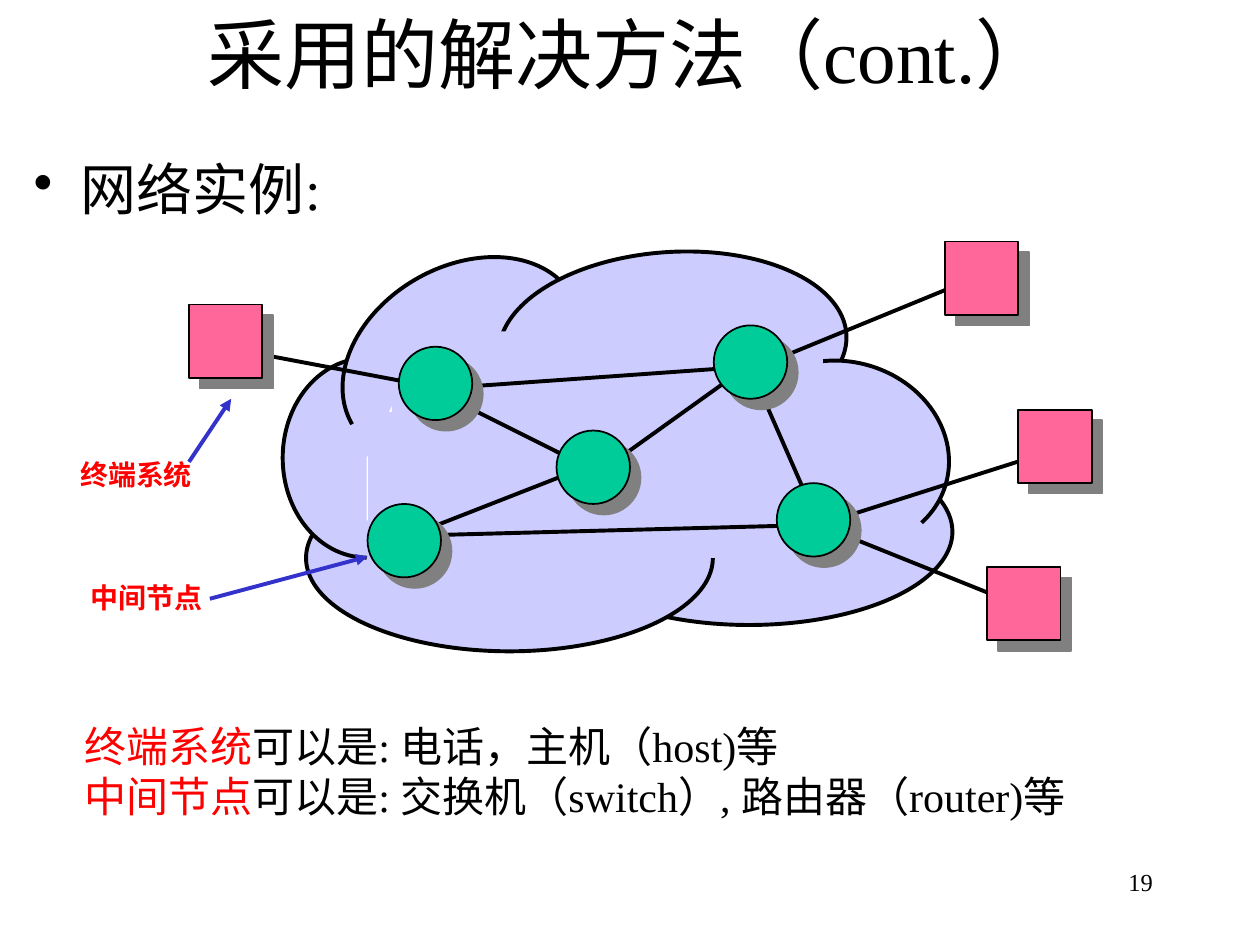
from copy import deepcopy
from dataclasses import dataclass
from math import ceil, cos, radians, sin, tan

from lxml.etree import SubElement
from pptx import Presentation
from pptx.dml.color import RGBColor
from pptx.enum.shapes import MSO_CONNECTOR, MSO_SHAPE
from pptx.enum.text import MSO_ANCHOR as Anchor, PP_ALIGN as Align
from pptx.oxml.ns import qn
from pptx.util import Cm, Pt

BLACK, RED, BLUE = "000000", "FF0000", "3333CC"
CLOUD, RELAY, HOST, SHADE = "CCCCFF", "00CC99", "FF6699", "808080"
NODE_SIZE = 1.48
SERIF, SANS = "Times New Roman", "Arial"


@dataclass(frozen=True)
class Lobe:
    """An elliptical sector of the cloud; angles run clockwise in degrees."""
    x: float
    y: float
    rx: float
    ry: float
    tilt: float
    start: int
    end: int

    def place(self, u: float, v: float) -> tuple[int, int]:
        """Map a point of the unit circle onto the slide."""
        turn = radians(self.tilt)
        u, v = u * self.rx, v * self.ry
        return (Cm(self.x + u * cos(turn) - v * sin(turn)),
                Cm(self.y + u * sin(turn) + v * cos(turn)))

    def curve(self) -> list[tuple[int, int]]:
        """Start point, then two handles and an end point per Bezier segment."""
        count = ceil((self.end - self.start) / 90)
        step = radians(self.end - self.start) / count
        reach = 4 / 3 * tan(step / 4)
        points = [self.place(cos(radians(self.start)), sin(radians(self.start)))]
        for index in range(count):
            a = radians(self.start) + index * step
            b = a + step
            points += [self.place(cos(a) - reach * sin(a), sin(a) + reach * cos(a)),
                       self.place(cos(b) + reach * sin(b), sin(b) - reach * cos(b)),
                       self.place(cos(b), sin(b))]
        return points


@dataclass(frozen=True)
class Link:
    x1: float
    y1: float
    x2: float
    y2: float


@dataclass(frozen=True)
class Caption:
    """Lines of (wording, colour) runs in one box."""
    box: tuple[float, float, float, float]
    lines: list[list[tuple[str, str]]]
    size: int
    align: Align = Align.LEFT
    font: str = SERIF
    bold: bool = False
    anchor: Anchor = Anchor.TOP


LOBES = [
    Lobe(15.1, 10.72, 4.1, 1.88, 0, -60, 114),
    Lobe(10.27, 11.25, 4.1, 1.88, 0, 0, 210),
    Lobe(7.39, 9.23, 1.69, 2.01, 0, 90, 300),
    Lobe(9.32, 7.26, 2.57, 1.88, -30.2, -180, 20),
    Lobe(13.56, 6.96, 3.51, 1.88, -3.6, -180, 20),
    Lobe(16.98, 9.17, 2.17, 1.88, 14.9, -125, 29),
]
LINKS = [
    Link(8.26, 10.8, 16.51, 10.58),
    Link(15.03, 7.2, 16.51, 10.58),
    Link(12.07, 9.53, 8.68, 7.83),
    Link(12.07, 9.53, 15.03, 7.41),
    Link(8.26, 10.8, 12.07, 9.31),
    Link(14.82, 7.41, 8.89, 7.83),
    Link(8.89, 7.83, 4.45, 6.99),
    Link(19.9, 5.5, 15.24, 7.41),
    Link(21.17, 9.1, 16.51, 10.58),
    Link(20.74, 12.28, 16.51, 10.58),
]
POINTERS = [Link(3.81, 9.31, 4.66, 8.04), Link(4.23, 12.07, 7.41, 11.22)]
RELAYS = [(11.22, 8.68), (7.41, 10.16), (14.39, 6.56), (15.66, 9.74), (8.04, 6.99)]
HOSTS = [(3.81, 6.14), (19.05, 4.87), (20.53, 8.26), (19.9, 11.43)]

EXAMPLE = Caption((0.43, 3.15, 24.77, 1.55), [[("网络实例:", BLACK)]], 32)
CAPTIONS = [
    Caption((1.9, 0, 21.6, 2.12), [[("采用的解决方法（cont.）", BLACK)]], 44,
            Align.CENTER, anchor=Anchor.MIDDLE),
    Caption((1.45, 14.4, 22.2, 2.97), [
        [("终端系统", RED), ("可以是: 电话，主机（host)等", BLACK)],
        [("中间节点", RED), ("可以是: 交换机（switch）, 路由器（router)等", BLACK)],
    ], 24),
    Caption((0.84, 9.1, 3.81, 0.94), [[("终端系统", RED)]], 16, Align.CENTER, SANS, True),
    Caption((1.47, 11.58, 2.97, 0.94), [[("中间节点", RED)]], 16, Align.CENTER, SANS, True),
    Caption((18.21, 17.35, 5.28, 1.27), [[("19", BLACK)]], 14, Align.RIGHT),
]


def rgb(code: str) -> RGBColor:
    return RGBColor.from_string(code)


def paint(shape, fill: str, line: str | None, width: float = 2.25) -> None:
    shape.shadow.inherit = False
    shape.fill.solid()
    shape.fill.fore_color.rgb = rgb(fill)
    if line:
        shape.line.color.rgb = rgb(line)
        shape.line.width = Pt(width)
    else:
        shape.line.fill.background()


def draw_lobe(shapes, lobe: Lobe) -> None:
    """Fill the sector without a line, then stroke only its arc."""
    start, *curve = lobe.curve()
    builder = shapes.build_freeform(*start, scale=1.0)
    builder.add_line_segments(curve + [(Cm(lobe.x), Cm(lobe.y))], close=True)
    shape = builder.convert_to_shape()
    paint(shape, CLOUD, BLACK)

    sector = next(shape._element.spPr.iter(qn("a:path")))
    *steps, to_center = sector.findall(qn("a:lnTo"))
    for first, second, third in zip(steps[::3], steps[1::3], steps[2::3]):
        first.addprevious(bezier := deepcopy(first))
        bezier.tag = qn("a:cubicBezTo")
        for step in (second, third):
            bezier.append(step[0])
        for step in (first, second, third):
            sector.remove(step)
    arc = deepcopy(sector)
    for part in (qn("a:lnTo"), qn("a:close")):
        arc.remove(arc.find(part))
    sector.set("stroke", "0")
    arc.set("fill", "none")
    sector.addnext(arc)


def draw_cloud_core(shapes, *box: float) -> None:
    core = shapes.add_shape(MSO_SHAPE.RECTANGLE, *map(Cm, box))
    paint(core, CLOUD, None)


def draw_link(shapes, link: Link, color: str = BLACK, arrow: bool = False) -> None:
    line = shapes.add_connector(MSO_CONNECTOR.STRAIGHT, Cm(link.x1), Cm(link.y1),
                                Cm(link.x2), Cm(link.y2))
    line.line.color.rgb = rgb(color)
    line.line.width = Pt(2.25)
    if arrow:
        SubElement(line.line._get_or_add_ln(), qn("a:tailEnd"), type="triangle")
    SubElement(line._element.spPr, qn("a:effectLst"))


def draw_node(shapes, kind: MSO_SHAPE, left: float, top: float, fill: str) -> None:
    node = shapes.add_shape(kind, Cm(left), Cm(top), Cm(NODE_SIZE), Cm(NODE_SIZE))
    paint(node, fill, BLACK, 1)
    effects = node._element.spPr.find(qn("a:effectLst"))
    shadow = SubElement(effects, qn("a:outerShdw"), dist=str(Pt(8.5)),
                        dir=str(45 * 60000), algn="ctr", rotWithShape="0")
    SubElement(shadow, qn("a:srgbClr"), val=SHADE)


def draw_caption(shapes, caption: Caption):
    frame = shapes.add_textbox(*map(Cm, caption.box)).text_frame
    frame.word_wrap = True
    frame.vertical_anchor = caption.anchor
    for index, pieces in enumerate(caption.lines):
        paragraph = frame.add_paragraph() if index else frame.paragraphs[0]
        paragraph.alignment = caption.align
        for wording, color in pieces:
            run = paragraph.add_run()
            run.text = wording
            run.font.name, run.font.size = caption.font, Pt(caption.size)
            run.font.bold = caption.bold
            run.font.color.rgb = rgb(color)
    return frame


def add_bullet(paragraph) -> None:
    paragraph.line_spacing = 0.9
    properties = paragraph._p.get_or_add_pPr()
    properties.set("marL", str(Cm(0.95)))
    properties.set("indent", str(Cm(-0.95)))
    SubElement(properties, qn("a:buChar"), char="•")


deck = Presentation()
deck.slide_width, deck.slide_height = Cm(25.4), Cm(19.05)
canvas = deck.slides.add_slide(deck.slide_layouts[6]).shapes
draw_cloud_core(canvas, 7.42, 8.31, 10.64, 3.48)
for lobe in LOBES:
    draw_lobe(canvas, lobe)
draw_cloud_core(canvas, 7.9, 6.68, 8.69, 3.48)
for link in LINKS:
    draw_link(canvas, link)
for left, top in RELAYS:
    draw_node(canvas, MSO_SHAPE.OVAL, left, top, RELAY)
for left, top in HOSTS:
    draw_node(canvas, MSO_SHAPE.RECTANGLE, left, top, HOST)
for pointer in POINTERS:
    draw_link(canvas, pointer, BLUE, arrow=True)
for caption in CAPTIONS:
    draw_caption(canvas, caption)
add_bullet(draw_caption(canvas, EXAMPLE).paragraphs[0])
deck.save("out.pptx")
